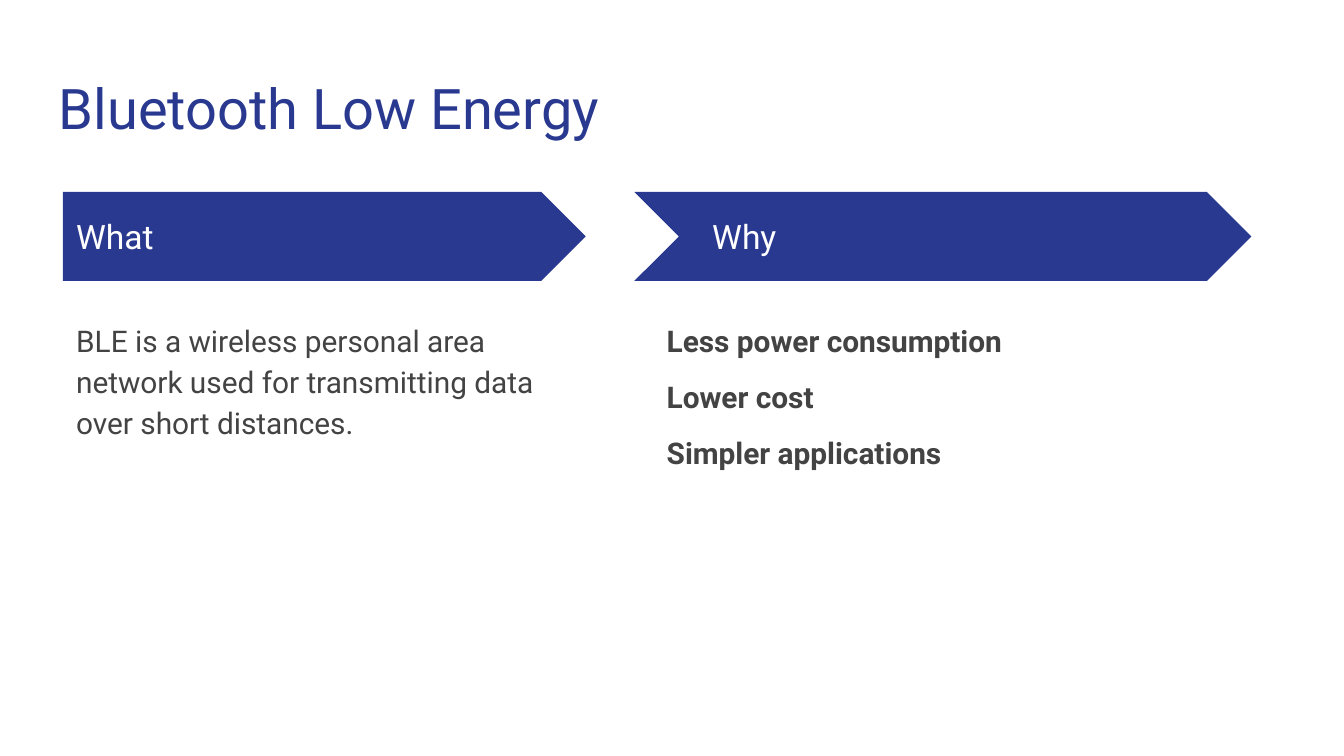
import pptx
import pptx.dml.color
import pptx.enum.shapes
import pptx.enum.text
import pptx.oxml.xmlchemy
import pptx.util
from lxml import etree
from pptx.util import Cm

NAVY = pptx.dml.color.RGBColor(0x2A, 0x39, 0x90)
GRAY = pptx.dml.color.RGBColor(0x43, 0x43, 0x43)
WHITE = pptx.dml.color.RGBColor(0xFF, 0xFF, 0xFF)
FONT = "Roboto"
DRAWING = "http://schemas.openxmlformats.org/drawingml/2006/main"
TOP = pptx.enum.text.MSO_ANCHOR.TOP
MIDDLE = pptx.enum.text.MSO_ANCHOR.MIDDLE


def place(box, left, top, width, height):
    """Move and size a box."""
    box.left, box.top, box.width, box.height = left, top, width, height


def fill_placeholder(box, lines, size, color, anchor=TOP, bold=False, spacing=1.0, after=0, hanging=False):
    """Write paragraphs into a placeholder and format them."""
    frame = box.text_frame
    frame.text = "\n".join(lines)
    frame.word_wrap = True
    frame.auto_size = pptx.enum.text.MSO_AUTO_SIZE.NONE
    frame.vertical_anchor = anchor
    frame.margin_left = frame.margin_right = Cm(0.25)
    frame.margin_top = frame.margin_bottom = Cm(0.25)
    for para in frame.paragraphs:
        para.alignment = pptx.enum.text.PP_ALIGN.LEFT
        para.line_spacing = spacing
        para.space_before = pptx.util.Pt(0)
        para.space_after = pptx.util.Pt(after)
        properties = para._p.get_or_add_pPr()
        properties.set("marL", str(Cm(1.27) if hanging else 0))
        properties.set("indent", str(Cm(-0.91) if hanging else 0))
        etree.SubElement(properties, f"{{{DRAWING}}}buNone")
        for span in para.runs:
            span.font.name = FONT
            span.font.size = pptx.util.Pt(size)
            span.font.bold = bold
            span.font.color.rgb = color


def add_banner(page, kind, left, width):
    """Add a navy arrow banner behind the placeholders."""
    banner = page.shapes.add_shape(kind, left, Cm(3.63), width, Cm(1.68))
    banner.adjustments[0] = 0.5
    banner.shadow.inherit = False
    banner.fill.solid()
    banner.fill.fore_color.rgb = NAVY
    banner.line.fill.background()
    page.shapes.title._element.addprevious(banner._element)


def add_column(page, header, body, kind, left, width, header_left, heading, lines, **style):
    """Build one column: banner, heading and body text."""
    add_banner(page, kind, left, width)
    place(header, header_left, Cm(4.04), Cm(6.27), Cm(0.86))
    fill_placeholder(header, [heading], 18, WHITE, MIDDLE)
    place(body, left, Cm(5.74), width, Cm(7.37))
    fill_placeholder(body, lines, 16, GRAY, spacing=1.15, after=8, **style)


def main():
    """Build and save the slide."""
    deck = pptx.Presentation()
    deck.slide_width, deck.slide_height = Cm(25.4), Cm(14.29)
    page = deck.slides.add_slide(deck.slide_layouts.get_by_name("Comparison"))
    title, what_header, what_body, why_header, why_body = page.placeholders
    place(title, Cm(0.86), Cm(1.14), Cm(23.67), Cm(1.68))
    fill_placeholder(title, ["Bluetooth Low Energy"], 30, NAVY)

    shapes = pptx.enum.shapes.MSO_SHAPE
    add_column(
        page, what_header, what_body, shapes.PENTAGON, Cm(1.19), Cm(9.88), Cm(1.19), "What",
        ["BLE is a wireless personal area network used for transmitting data over short distances."],
    )
    add_column(
        page, why_header, why_body, shapes.CHEVRON, Cm(11.99), Cm(11.66), Cm(13.21), "Why",
        ["Less power consumption", "Lower cost", "Simpler applications"],
        bold=True, hanging=True,
    )
    deck.save("out.pptx")


if __name__ == "__main__":
    main()
